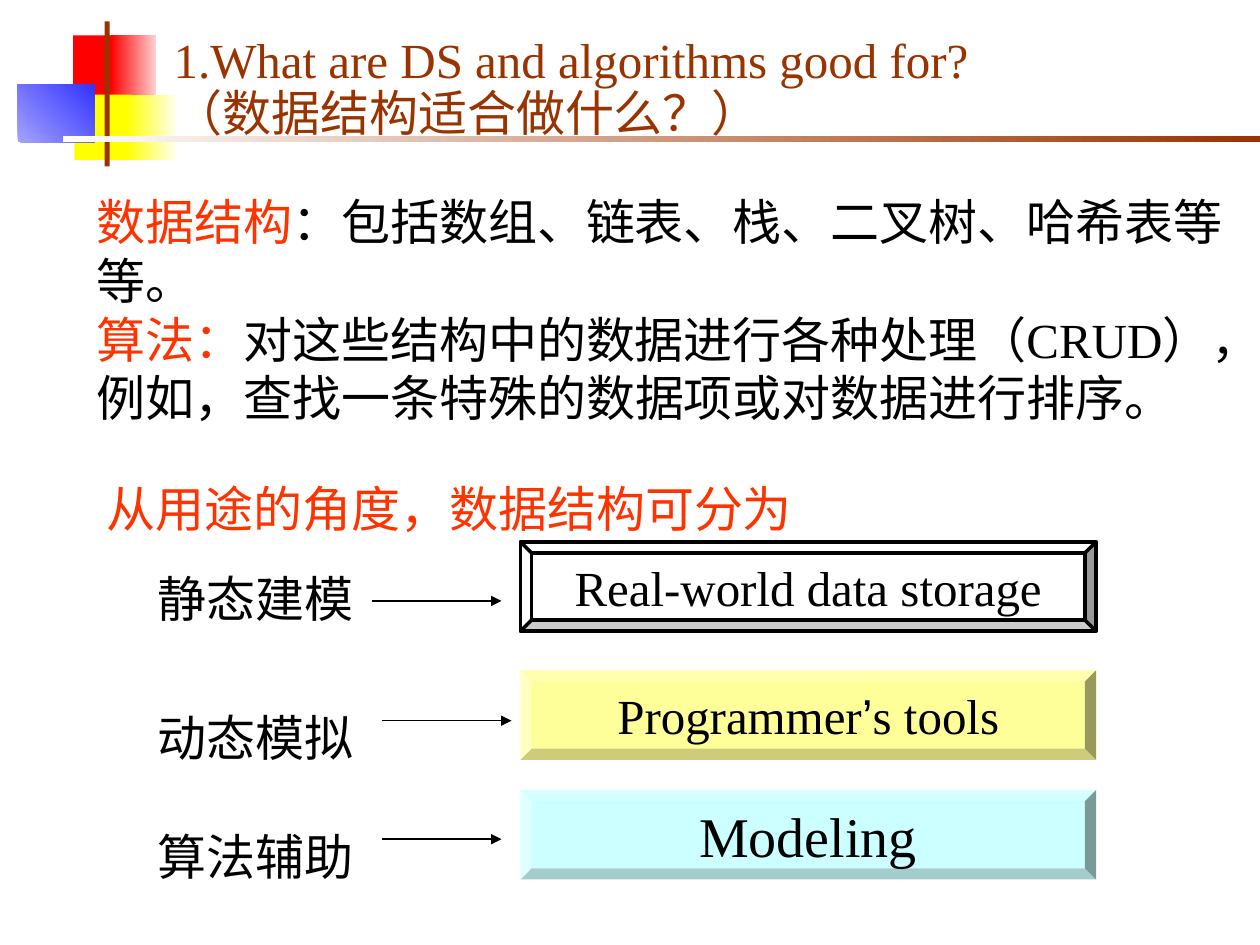
from pptx import Presentation, util as u
from pptx.dml.color import RGBColor
from pptx.enum import shapes, text
from pptx.oxml import parse_xml
from pptx.oxml.ns import nsdecls

WIDE, HIGH = 10, 7.5
SERIF, SANS = "Times New Roman", "Arial"
BLACK = RGBColor(0, 0, 0)
WHITE = RGBColor(255, 255, 255)
BROWN = RGBColor(0x99, 0x33, 0)
CORAL = RGBColor(0xFF, 0x33, 0)
RED = RGBColor(255, 0, 0)
PINK = RGBColor(0xFF, 0xD1, 0xD1)
YELLOW = RGBColor(255, 255, 0)
IVORY = RGBColor(0xFF, 0xFF, 0xEF)
BLUE = RGBColor(0x33, 0x33, 255)
LILAC = RGBColor(0xA3, 0xA3, 255)
LEMON = RGBColor(255, 255, 0x99)
AQUA = RGBColor(0xCC, 255, 255)


def place(box):
    """Turn a box in inches into slide lengths."""
    return [u.Inches(n) for n in box]


def write(para, words, color=BLACK, size=28, font=SERIF):
    """Add one styled run to a paragraph."""
    run = para.add_run()
    run.text = words
    run.font.size = u.Pt(size)
    run.font.name = font
    run.font.color.rgb = color


def note(slide, box, paras, wrap=True):
    """Add a growing text box whose paragraphs are lists of (words, colour)."""
    frame = slide.shapes.add_textbox(*place(box)).text_frame
    frame.word_wrap = wrap
    frame.auto_size = text.MSO_AUTO_SIZE.SHAPE_TO_FIT_TEXT
    for i, runs in enumerate(paras):
        para = frame.add_paragraph() if i else frame.paragraphs[0]
        for words, color in runs:
            write(para, words, color)
    return frame


def block(slide, box, color, kind=shapes.MSO_SHAPE.RECTANGLE):
    """Add a plain filled shape without outline."""
    shape = slide.shapes.add_shape(kind, *place(box))
    shape.shadow.inherit = False
    shape.fill.solid()
    shape.fill.fore_color.rgb = color
    shape.line.fill.background()
    return shape


def fade(slide, box, start, end, angle):
    """Add a block with a two-colour gradient."""
    fill = block(slide, box, end).fill
    fill.gradient()
    fill.gradient_angle = angle
    for stop, color, spot in zip(fill.gradient_stops, (start, end), (0, 1)):
        stop.color.rgb = color
        stop.position = spot


def badge(slide, box):
    """Draw the coloured squares, the post and the rule in the header box."""
    x, y, w, h = box
    side = 0.52
    block(slide, (x + 0.44, y + 0.11, 0.35, side), RED)
    fade(slide, (x + 0.74, y + 0.11, 0.36, side), PINK, RED, 180)
    block(slide, (x + 0.45, y + 0.58, 0.46, side), YELLOW)
    fade(slide, (x + 0.86, y + 0.58, 0.4, side), IVORY, YELLOW, 180)
    fade(slide, (x, y + 0.5, 0.61, 0.46), LILAC, BLUE, 45)
    block(slide, (x + 0.69, y, 0.04, h), BROWN)
    fade(slide, (x + 0.36, y + 0.91, w - 0.36, 0.05), WHITE, BROWN, 0)


def title(slide, box):
    """Write the two-line heading at the foot of its box."""
    frame = note(slide, box, [[("1.What are DS and algorithms good for?", BROWN)]])
    frame.auto_size = text.MSO_AUTO_SIZE.NONE
    frame.vertical_anchor = text.MSO_ANCHOR.BOTTOM
    para = frame.paragraphs[0]
    para.line_spacing = u.Pt(30)
    para._p.get_or_add_pPr().set("marL", str(u.Inches(0.06)))
    para.add_line_break()
    write(para, "（数据结构适合做什么？）", BROWN)


def arrow(slide, start, end, y):
    """Draw a level arrow."""
    line = slide.shapes.add_connector(
        shapes.MSO_CONNECTOR.STRAIGHT, *place((start, y, end, y)))
    line.line.color.rgb = BLACK
    line.line.width = u.Pt(0.75)
    line.line._get_or_add_ln().append(
        parse_xml(f'<a:tailEnd {nsdecls("a")} type="triangle"/>'))
    line._element.spPr.append(parse_xml(f'<a:effectLst {nsdecls("a")}/>'))


def usage(slide, box, label, drop, reach, runs, color, edge=False, size=28):
    """Lay out one row: label, arrow and bevelled panel."""
    x, y, w, h = box
    note(slide, (x, y + drop, 1.89, 0.57), [[(label, BLACK)]])
    arrow(slide, *reach)
    left = x + 2.98
    panel = block(slide, (left, y, x + w - left, h), color,
                  shapes.MSO_SHAPE.BEVEL)
    if edge:
        panel.line.color.rgb = BLACK
        panel.line.width = u.Pt(2)
    frame = panel.text_frame
    frame.word_wrap = False
    frame.vertical_anchor = text.MSO_ANCHOR.MIDDLE
    para = frame.paragraphs[0]
    para.alignment = text.PP_ALIGN.CENTER
    for words, font in runs:
        write(para, words, size=size, font=font)


def main():
    """Build and save the slide."""
    deck = Presentation()
    deck.slide_width, deck.slide_height = place((WIDE, HIGH))
    slide = deck.slides.add_slide(deck.slide_layouts[6])
    badge(slide, (0.14, 0.17, WIDE - 0.14, 1.15))
    title(slide, (1.22, 0.25, 8.63, 0.92))
    note(slide, (0.67, 1.47, 9.14, 2.44), [
        [("数据结构", CORAL),
         ("：包括数组、链表、栈、二叉树、哈希表等等。", BLACK)],
        [("算法：", CORAL),
         ("对这些结构中的数据进行各种处理（CRUD），例如，"
          "查找一条特殊的数据项或对数据进行排序。", BLACK)]])
    note(slide, (0.75, 3.75, 5.65, 0.57),
         [[("从用途的角度，数据结构可分为", CORAL)]], wrap=False)
    usage(slide, (1.15, 4.3, 7.55, 0.71), "静态建模", 0.16, (2.95, 3.98, 4.77),
          [("Real-world data storage", SERIF)], WHITE, edge=True)
    usage(slide, (1.15, 5.32, 7.55, 0.71), "动态模拟", 0.25, (3.03, 4.06, 5.72),
          [("Programmer", SERIF), ("’", SANS), ("s tools", SERIF)], LEMON)
    usage(slide, (1.15, 6.27, 7.55, 0.71), "算法辅助", 0.24, (3.03, 3.98, 6.66),
          [("Modeling", SERIF)], AQUA, size=32)
    deck.save("out.pptx")


if __name__ == "__main__":
    main()
